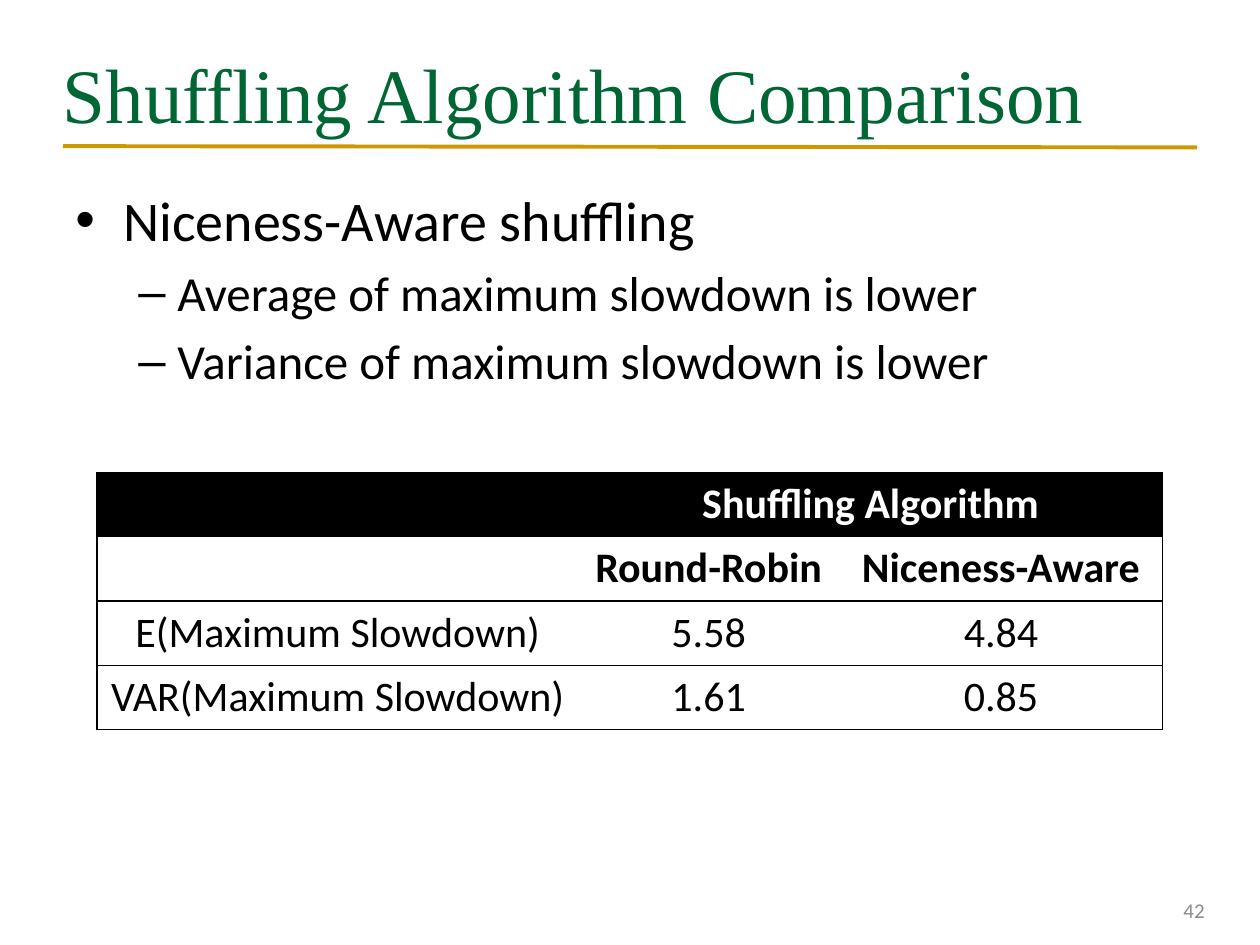
from dataclasses import dataclass

from lxml import etree
from pptx import Presentation
from pptx.dml.color import RGBColor
from pptx.enum.shapes import MSO_CONNECTOR
from pptx.enum.text import MSO_ANCHOR, PP_ALIGN
from pptx.oxml.ns import qn
from pptx.util import Inches, Pt

STRAIGHT = MSO_CONNECTOR.STRAIGHT
MIDDLE, TOP = MSO_ANCHOR.MIDDLE, MSO_ANCHOR.TOP
LEFT, CENTER, RIGHT = PP_ALIGN.LEFT, PP_ALIGN.CENTER, PP_ALIGN.RIGHT


@dataclass(frozen=True)
class Theme:
    title_font: str = "Times New Roman"
    body_font: str = "Calibri"
    green: str = "006633"
    gold: str = "CC9900"
    black: str = "000000"
    white: str = "FFFFFF"
    gray: str = "8C8C8C"
    title_size: float = 44
    bullet_size: float = 32
    dash_size: float = 28
    table_size: float = 24
    number_size: float = 12
    rule_width: float = 2.25
    border_width: float = 0.75


@dataclass(frozen=True)
class Bullet:
    text: str
    mark: str
    size: float
    indent: float
    hanging: float
    level: int = 0
    before: float = 0


THEME = Theme()
BULLETS = [
    Bullet("Niceness-Aware shuffling", "•", THEME.bullet_size, 0.38, 0.38),
    Bullet("Average of maximum slowdown is lower", "–", THEME.dash_size, 0.81, 0.31, 1, 5.6),
    Bullet("Variance of maximum slowdown is lower", "–", THEME.dash_size, 0.81, 0.31, 1, 5.6),
]
ROWS = [
    ["", "Shuffling Algorithm", ""],
    ["", "Round-Robin", "Niceness-Aware"],
    ["E(Maximum Slowdown)", "5.58", "4.84"],
    ["VAR(Maximum Slowdown)", "1.61", "0.85"],
]
HEADER_ROWS = 2
COLUMN_WIDTHS = [3.82, 2.07, 2.57]
ROW_HEIGHT = 0.51


def write(para, text: str, *, size: float, color: str = THEME.black,
          font: str = THEME.body_font, bold: bool = False, align=LEFT) -> None:
    para.alignment = align
    span = para.add_run()
    span.text = text
    span.font.name = font
    span.font.size = Pt(size)
    span.font.bold = bold
    span.font.color.rgb = RGBColor.from_string(color)


def add_box(page, left: float, top: float, width: float, height: float,
            *, anchor=TOP, side_inset: float = 0.1):
    box = page.shapes.add_textbox(Inches(left), Inches(top), Inches(width), Inches(height))
    frame = box.text_frame
    frame.word_wrap = True
    frame.vertical_anchor = anchor
    frame.margin_left = frame.margin_right = Inches(side_inset)
    return frame


def add_rule(page) -> None:
    rule = page.shapes.add_connector(STRAIGHT, Inches(0.5), Inches(1.16), Inches(9.5), Inches(1.17))
    rule.line.color.rgb = RGBColor.from_string(THEME.gold)
    rule.line.width = Pt(THEME.rule_width)
    etree.SubElement(rule.element.spPr, qn("a:effectLst"))


def add_bullets(page, bullets: list[Bullet]) -> None:
    frame = add_box(page, 0.5, 1.42, 9, 5.5)
    for index, bullet in enumerate(bullets):
        para = frame.add_paragraph() if index else frame.paragraphs[0]
        para.level = bullet.level
        para.space_before = Pt(bullet.before)
        properties = para._p.get_or_add_pPr()
        properties.set("marL", str(Inches(bullet.indent)))
        properties.set("indent", str(-Inches(bullet.hanging)))
        etree.SubElement(properties, qn("a:buFont"), typeface="Arial")
        etree.SubElement(properties, qn("a:buChar"), char=bullet.mark)
        write(para, bullet.text, size=bullet.size)


def set_borders(cell, sides: str) -> None:
    properties = cell._tc.get_or_add_tcPr()
    for side in "LRTB":
        border = etree.SubElement(properties, qn(f"a:ln{side}"), w=str(Pt(THEME.border_width)))
        if side in sides:
            fill = etree.SubElement(border, qn("a:solidFill"))
            etree.SubElement(fill, qn("a:srgbClr"), val=THEME.black)
        else:
            etree.SubElement(border, qn("a:noFill"))


def add_comparison_table(page) -> None:
    last = len(COLUMN_WIDTHS) - 1
    table = page.shapes.add_table(
        len(ROWS), len(COLUMN_WIDTHS), Inches(0.77), Inches(3.75),
        Inches(sum(COLUMN_WIDTHS)), Inches(ROW_HEIGHT * len(ROWS))).table
    table.first_row = table.horz_banding = False
    for column, width in zip(table.columns, COLUMN_WIDTHS):
        column.width = Inches(width)
    for row_index, texts in enumerate(ROWS):
        table.rows[row_index].height = Inches(ROW_HEIGHT)
        is_heading = row_index == 0
        for column_index, text in enumerate(texts):
            cell = table.cell(row_index, column_index)
            edges = ("L" if column_index == 0 else "") + ("R" if column_index == last else "")
            set_borders(cell, "TB" + edges)
            cell.fill.solid()
            cell.fill.fore_color.rgb = RGBColor.from_string(THEME.black if is_heading else THEME.white)
            if text:
                write(cell.text_frame.paragraphs[0], text, size=THEME.table_size,
                      color=THEME.white if is_heading else THEME.black,
                      bold=row_index < HEADER_ROWS, align=CENTER)
    table.cell(0, 1).merge(table.cell(0, last))


def main() -> None:
    deck = Presentation()
    deck.slide_width, deck.slide_height = Inches(10), Inches(7.5)
    page = deck.slides.add_slide(deck.slide_layouts[6])
    add_rule(page)
    title = add_box(page, 0.5, 0.3, 9, 0.87, anchor=MIDDLE, side_inset=0)
    write(title.paragraphs[0], "Shuffling Algorithm Comparison",
          size=THEME.title_size, color=THEME.green, font=THEME.title_font)
    add_bullets(page, BULLETS)
    number = add_box(page, 7.33, 7.02, 2.33, 0.4, anchor=MIDDLE)
    write(number.paragraphs[0], "42", size=THEME.number_size, color=THEME.gray, align=RIGHT)
    add_comparison_table(page)
    deck.save("out.pptx")


if __name__ == "__main__":
    main()
